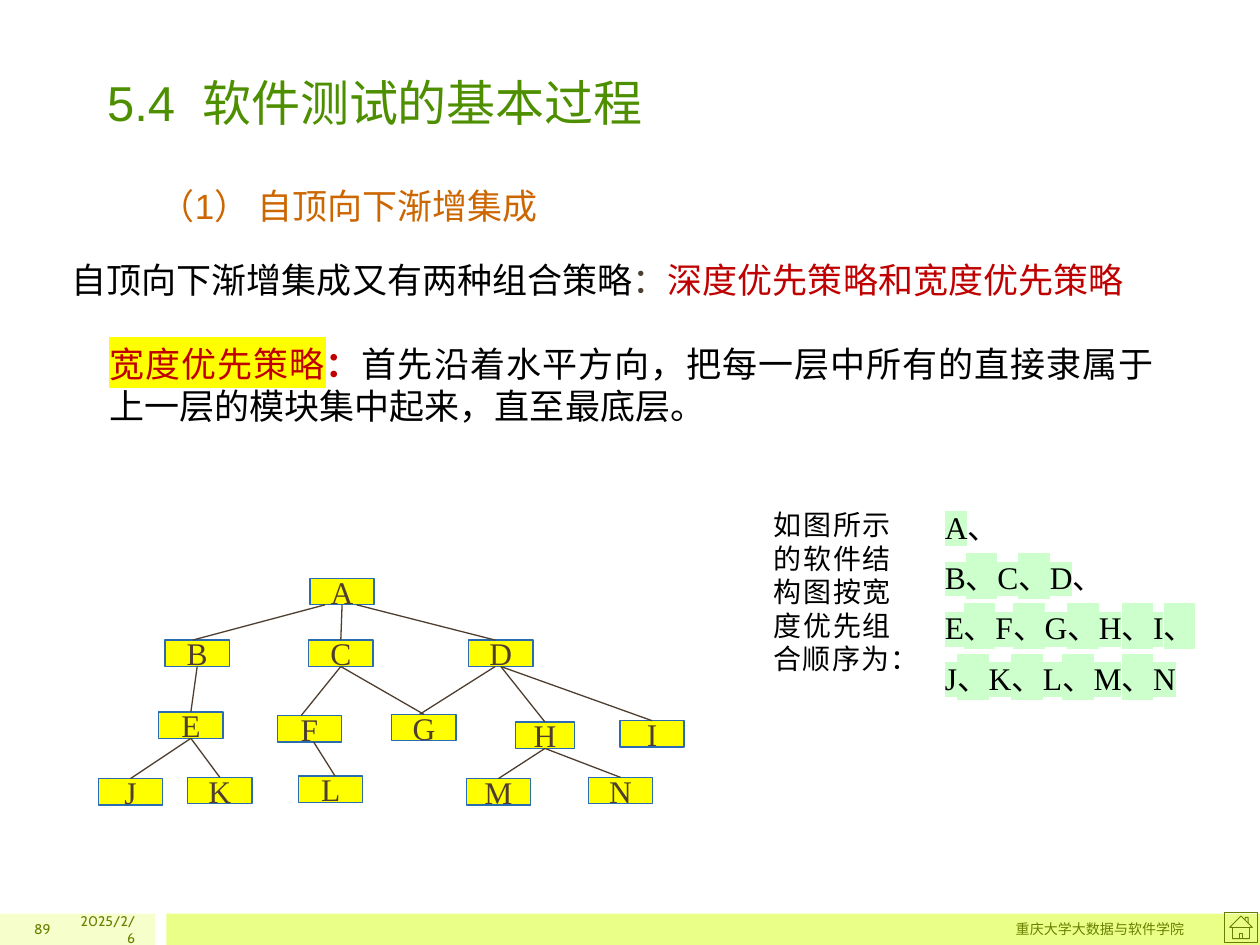
from lxml import etree
from pptx import Presentation, util as u
from pptx.dml.color import RGBColor
from pptx.enum import shapes as sh, text as tx
from pptx.oxml.ns import qn

HEX = dict(green="4E8F00", orange="CC6600", red="C00000", black="000000",
           brown="4D3E2F", yellow="FFFF00", mint="CCFFCC", blue="2A6CB2",
           pale="F6FFCC", lime="E9FF88", olive="677E00", foot="688000")
CJK, ROMAN = "Noto Sans CJK SC", "Times New Roman"

TITLE = "5.4  软件测试的基本过程"
BARS = [(0, 1.23, "pale"), (1.32, 8.68, "lime")]
FOOT = [("2025/2/6", 0.5, 0.67), ("重庆大学大数据与软件学院", 2, 7.5), ("89", 0, 0.5)]
HEAD = [[("（1） 自顶向下渐增集成", "orange")]]
INTRO = [[("自顶向下渐增集成又有两种组合策略", "black"), ("：", "brown"),
          ("深度优先策略和宽度优先策略", "red")]]
WIDE = [[("宽度优先策略", "red", "yellow"), ("：", "red", None, True),
         ("首先沿着水平方向，把每一层中所有的直接隶属于上一层的模块集中起来，直至最底层。", "black")]]
NOTE = [[("如图所示的软件结构图按宽度优先组合顺序为：", "black")]]
ORDER = [[("A", "black", "mint"), ("、", "black")],
         [("B、C、D", "black", "mint"), ("、", "black")],
         [("E、F、G、H、I、", "black", "mint")],
         [("J、K、L、M、N", "black", "mint")]]

NODES = dict(A=(2.46, 4.59), B=(1.31, 5.08), C=(2.45, 5.08), D=(3.72, 5.08),
             E=(1.26, 5.65), F=(2.2, 5.68), G=(3.11, 5.67), H=(4.09, 5.73),
             I=(4.92, 5.72), J=(0.78, 6.18), K=(1.49, 6.17), L=(2.37, 6.16),
             M=(3.7, 6.18), N=(4.67, 6.17))
WIDTH, TALL, NEAR = 0.51, 0.21, 0.03
SLIM = dict(H=0.47)
EDGES = [("AB", 2.58, 1.53), ("AC", 2.7, 2.7), ("AD", 2.83, 3.93),
         ("BE", 1.54, 1.54), ("CF", 2.69, 2.39), ("CG", 2.72, 3.35),
         ("DG", 3.93, 3.33), ("DH", 3.97, 4.32), ("DI", 3.99, 5.16),
         ("EJ", 1.53, 1.03), ("EK", 1.51, 1.77), ("FL", 2.49, 2.66),
         ("HM", 4.34, 3.93), ("HN", 4.34, 4.94)]


def tint(name):
    return RGBColor.from_string(HEX[name])


def inch(*vals):
    return [u.Inches(v) for v in vals]


def style(para, size, face, color):
    font = para.font
    font.size, font.name, font.bold = u.Pt(size), face, False
    font.color.rgb = tint(color)
    east = etree.SubElement(font._element, qn("a:ea"))
    east.set("typeface", CJK)


def mark(run, color):
    glow = etree.SubElement(run._r.get_or_add_rPr(), qn("a:highlight"))
    etree.SubElement(glow, qn("a:srgbClr")).set("val", HEX[color])


def write(page, place, paras, size, face=CJK, align="JUSTIFY", left=0, lead=1.2, gap=0):
    frame = page.shapes.add_textbox(*inch(*place)).text_frame
    frame.word_wrap = True
    for i, runs in enumerate(paras):
        para = frame.paragraphs[0] if i == 0 else frame.add_paragraph()
        para.alignment = getattr(tx.PP_ALIGN, align)
        para.line_spacing = u.Pt(size * lead)
        if i:
            para.space_before = u.Pt(gap)
        para._p.get_or_add_pPr().set("marL", str(u.Inches(left)))
        style(para, size, face, runs[0][1])
        for words, color, glow, bold in (r + (None, False)[len(r) - 2:] for r in runs):
            run = para.add_run()
            run.text = words
            run.font.color.rgb = tint(color)
            if bold:
                run.font.bold = True
            if glow:
                mark(run, glow)
    return frame


def block(home, kind, place, fill=None, line=None, wide=0.75):
    item = home.add_shape(kind, *inch(*place))
    item.shadow.inherit = False
    if fill:
        item.fill.solid()
        item.fill.fore_color.rgb = tint(fill)
    else:
        item.fill.background()
    if line:
        item.line.color.rgb = tint(line)
        item.line.width = u.Pt(wide)
    else:
        item.line.fill.background()
    return item


def tree(page):
    home = page.shapes.add_group_shape().shapes
    boxes = {}
    for name, (x, y) in NODES.items():
        box = block(home, sh.MSO_SHAPE.RECTANGLE,
                    (x, y, SLIM.get(name, WIDTH), TALL), "yellow", "blue")
        frame = box.text_frame
        frame.word_wrap = False
        frame.vertical_anchor = tx.MSO_ANCHOR.MIDDLE
        para = frame.paragraphs[0]
        para.text, para.alignment = name, tx.PP_ALIGN.CENTER
        style(para, 18, ROMAN, "brown")
        boxes[name] = box
    for (top, low), x1, x2 in EDGES:
        up, down = boxes[top], boxes[low]
        link = home.add_connector(sh.MSO_CONNECTOR.STRAIGHT, u.Inches(x1),
                                  up.top + up.height, u.Inches(x2), down.top)
        link.line.color.rgb = tint("brown")
        link.line.width = u.Pt(0.75)
        etree.SubElement(link._element.spPr, qn("a:effectLst"))
        if abs(up.left + up.width // 2 - u.Inches(x1)) <= u.Inches(NEAR):
            link.begin_connect(up, 2)
        if abs(down.left + down.width // 2 - u.Inches(x2)) <= u.Inches(NEAR):
            link.end_connect(down, 0)


def main():
    deck = Presentation()
    deck.slide_width, deck.slide_height = inch(10, 7.5)
    page = deck.slides.add_slide(deck.slide_layouts[5])

    for x, w, fill in BARS:
        block(page.shapes, sh.MSO_SHAPE.RECTANGLE, (x, 7.25, w, 0.25), fill)
    block(page.shapes, sh.MSO_SHAPE.ACTION_BUTTON_HOME, (9.72, 7.24, 0.26, 0.24),
          line="olive", wide=0.5)

    title = page.shapes.title
    title.left, title.top, title.width, title.height = inch(0.75, 0.38, 8.51, 0.71)
    frame = title.text_frame
    frame.auto_size = tx.MSO_AUTO_SIZE.NONE
    frame.vertical_anchor = tx.MSO_ANCHOR.BOTTOM
    para = frame.paragraphs[0]
    para.text, para.alignment = TITLE, tx.PP_ALIGN.LEFT
    para.line_spacing = u.Pt(28 * 1.2)
    style(para, 28, "Arial", "green")

    for words, x, w in FOOT:
        frame = write(page, (x, 7.25, w, 0.25), [[(words, "foot")]], 8, "Cabin", "RIGHT")
        frame.vertical_anchor = tx.MSO_ANCHOR.MIDDLE

    write(page, (1.17, 1.28, 7.31, 0.58), HEAD, 20, "Arial", "LEFT", lead=1.68)
    write(page, (0, 2, 9.77, 0.62), INTRO, 20, left=0.47)
    write(page, (0.56, 2.67, 8.7, 0.77), WIDE, 20, left=0.21)
    tree(page)
    write(page, (6.04, 3.98, 1.13, 1.48), NOTE, 16)
    write(page, (7.4, 3.98, 2.23, 1.68), ORDER, 18, ROMAN, gap=7.2)
    deck.save("out.pptx")


if __name__ == "__main__":
    main()
